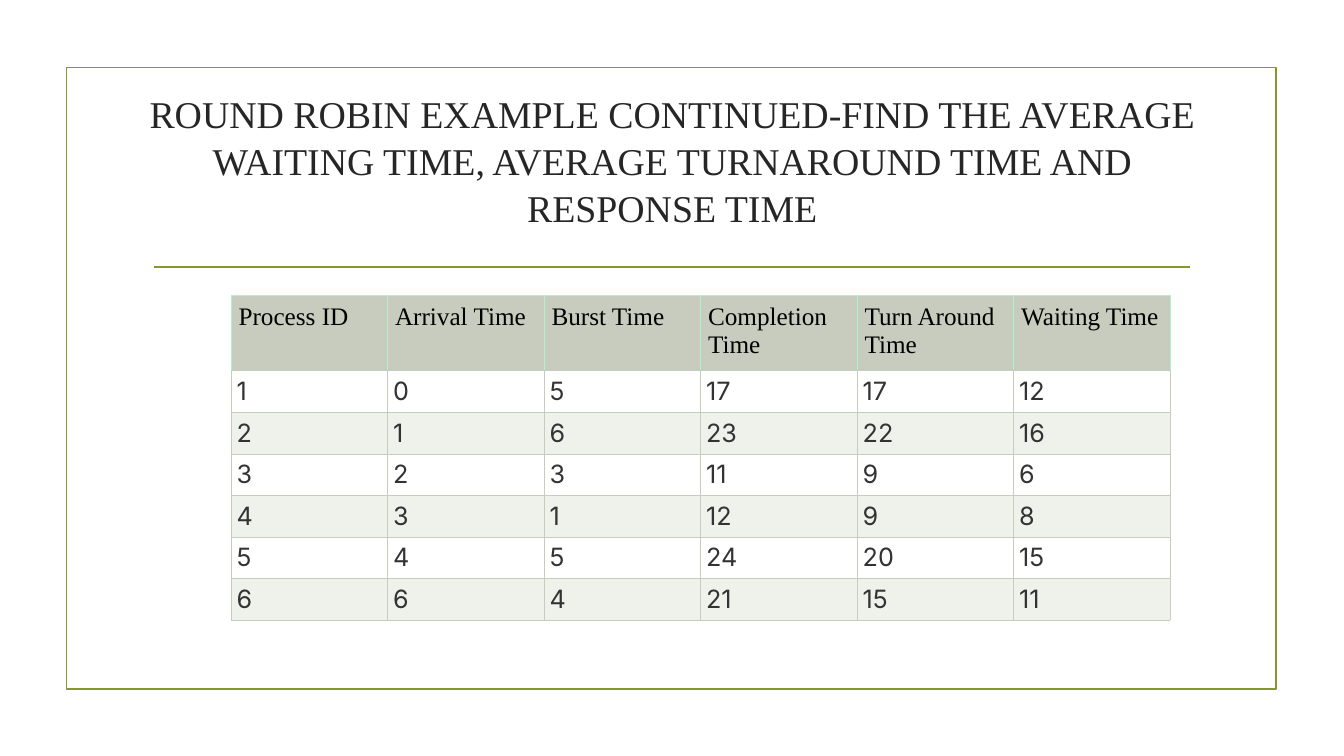
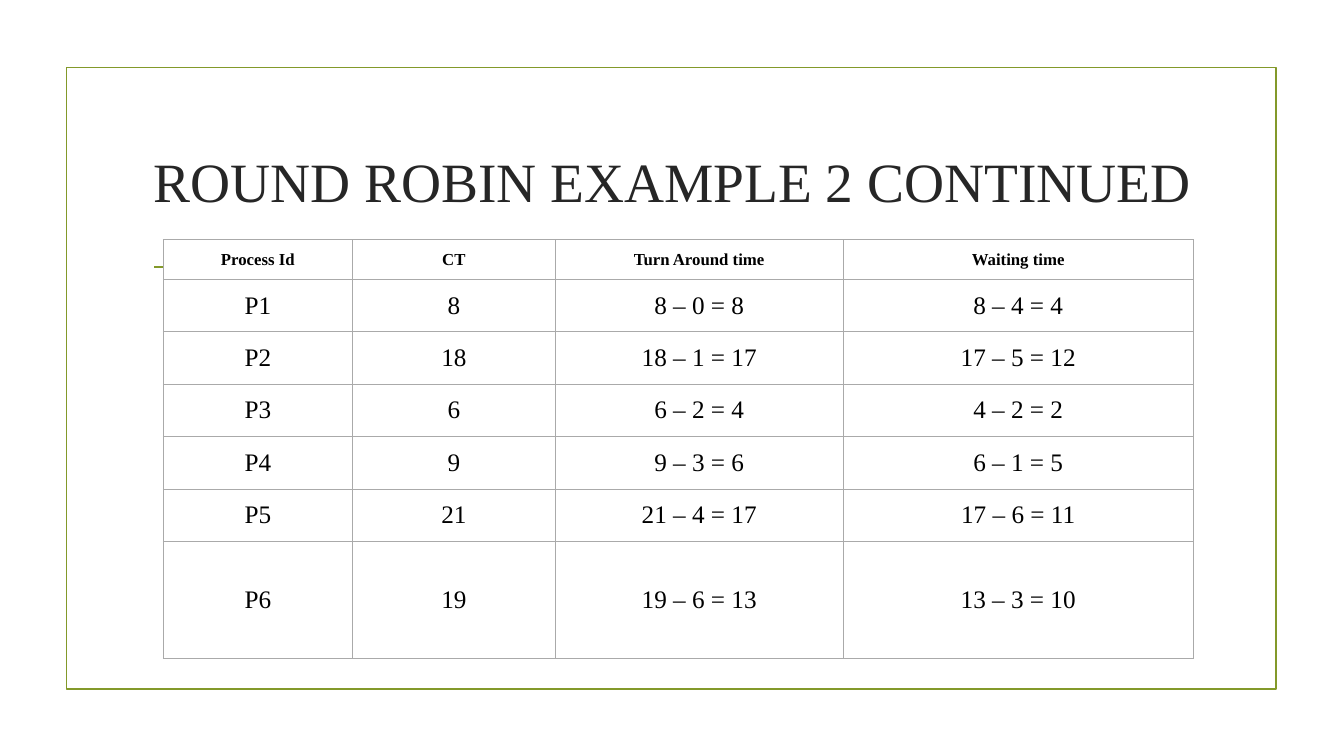
"""Build two slides of round robin scheduling results."""
from dataclasses import dataclass

from lxml import etree
from pptx import Presentation
from pptx.dml.color import RGBColor
from pptx.enum import shapes, text
from pptx.oxml import ns
from pptx.util import Pt


@dataclass(frozen=True)
class Theme:
    accent: str = "83992A"
    title: str = "262626"
    black: str = "000000"
    body: str = "333333"
    white: str = "FFFFFF"
    band: str = "EFF1EB"
    sage: str = "C7CCBE"
    mint: str = "B0F3CB"
    grey: str = "AAAAAA"
    serif: str = "Times New Roman"
    sans: str = "Inter"
    small: float = 12
    cell: float = 18
    long_title: float = 27
    short_title: float = 39.6


T = Theme()
ALIGN = text.PP_ALIGN
ANCHOR = text.MSO_ANCHOR

FRAME = (47.5, 48.2, 864, 444.2)
RULE = (110.2, 190.8, 850.3, 190.8)
TITLE = (102.2, 77, 756, 103)

SLIDES = [
    dict(
        title="ROUND ROBIN EXAMPLE CONTINUED-FIND THE AVERAGE WAITING TIME, "
              "AVERAGE TURNAROUND TIME AND RESPONSE TIME",
        title_format=dict(size=T.long_title, spacing=1.03, insets=(3.6, 3.6, 3.6, 32)),
        origin=(165, 210.8),
        widths=[111.8] * 6,
        heights=[52.2] + [29.7] * 6,
        header=["Process ID", "Arrival Time", "Burst Time", "Completion Time",
                "Turn Around Time", "Waiting Time"],
        rows=[
            (1, 0, 5, 17, 17, 12),
            (2, 1, 6, 23, 22, 16),
            (3, 2, 3, 11, 9, 6),
            (4, 3, 1, 12, 9, 8),
            (5, 4, 5, 24, 20, 15),
            (6, 6, 4, 21, 15, 11),
        ],
        header_format=dict(insets=(5.4,) * 4),
        body_format=dict(font=T.sans, color=T.body, align=ALIGN.JUSTIFY, insets=(4,) * 4),
        fills=(T.sage, T.white, T.band),
        borders=(T.mint, T.sage),
    ),
    dict(
        title="ROUND ROBIN EXAMPLE 2 CONTINUED",
        title_format=dict(size=T.short_title),
        origin=(116.6, 171.1),
        widths=[135.2, 144.8, 205.8, 249.9],
        heights=[28.4] + [37.5] * 5 + [83.5],
        header=["Process Id", "CT", "Turn Around time", "Waiting time"],
        rows=[
            ("P1", 8, "8 – 0 = 8", "8 – 4 = 4"),
            ("P2", 18, "18 – 1 = 17", "17 – 5 = 12"),
            ("P3", 6, "6 – 2 = 4", "4 – 2 = 2"),
            ("P4", 9, "9 – 3 = 6", "6 – 1 = 5"),
            ("P5", 21, "21 – 4 = 17", "17 – 6 = 11"),
            ("P6", 19, "19 – 6 = 13", "13 – 3 = 10"),
        ],
        header_format=dict(size=T.small, bold=True, align=ALIGN.CENTER,
                           anchor=ANCHOR.MIDDLE, insets=(5, 4, 5, 4)),
        body_format=dict(align=ALIGN.CENTER, anchor=ANCHOR.MIDDLE, insets=(5, 4, 5, 4)),
        fills=(T.white,) * 3,
        borders=(T.grey, T.grey),
    ),
]


def points(values):
    return [Pt(v) for v in values]


def write(box, content, font=T.serif, size=T.cell, color=T.black, bold=False,
          align=ALIGN.LEFT, anchor=ANCHOR.TOP, spacing=None, insets=(3.6,) * 4):
    tf = box.text_frame
    tf.word_wrap = True
    holder = tf if hasattr(box, "shape_type") else box
    holder.vertical_anchor = anchor
    holder.margin_left, holder.margin_top, holder.margin_right, holder.margin_bottom = points(insets)
    p = tf.paragraphs[0]
    p.alignment = align
    p.line_spacing = spacing
    r = p.add_run()
    r.text = str(content)
    r.font.name, r.font.size, r.font.bold = font, Pt(size), bold
    r.font.color.rgb = RGBColor.from_string(color)


def style_line(line):
    line.color.rgb = RGBColor.from_string(T.accent)
    line.width = Pt(1.25)


def add_base(s, title, title_format):
    frame = s.shapes.add_shape(shapes.MSO_SHAPE.RECTANGLE, *points(FRAME))
    frame.shadow.inherit = False
    frame.fill.background()
    style_line(frame.line)
    rule = s.shapes.add_connector(shapes.MSO_CONNECTOR.STRAIGHT, *points(RULE))
    style_line(rule.line)
    etree.SubElement(rule._element.spPr, ns.qn("a:effectLst"))
    write(s.shapes.add_textbox(*points(TITLE)), title, color=T.title,
          align=ALIGN.CENTER, anchor=ANCHOR.MIDDLE, **title_format)


def set_borders(cell, colors):
    tc_pr = cell._tc.get_or_add_tcPr()
    for side, color in zip("LRTB", colors):
        ln = etree.SubElement(tc_pr, ns.qn(f"a:ln{side}"), w=str(Pt(0.5)))
        fill = etree.SubElement(ln, ns.qn("a:solidFill"))
        etree.SubElement(fill, ns.qn("a:srgbClr"), val=color)


def add_grid(s, d):
    data = [d["header"], *d["rows"]]
    widths, heights = d["widths"], d["heights"]
    size = (sum(widths), sum(heights))
    table = s.shapes.add_table(len(data), len(widths), *points(d["origin"] + size)).table
    table.first_row = table.horz_banding = False
    for column, width in zip(table.columns, widths):
        column.width = Pt(width)
    head_fill, *body_fills = d["fills"]
    head_border, border = d["borders"]
    for i, values in enumerate(data):
        table.rows[i].height = Pt(heights[i])
        color = body_fills[(i - 1) % 2] if i else head_fill
        edges = [border if i else head_border] * 3 + [border]
        for j, value in enumerate(values):
            cell = table.cell(i, j)
            set_borders(cell, edges)
            cell.fill.solid()
            cell.fill.fore_color.rgb = RGBColor.from_string(color)
            write(cell, value, **d["body_format" if i else "header_format"])


def main():
    prs = Presentation()
    prs.slide_width, prs.slide_height = Pt(960), Pt(540)
    for d in SLIDES:
        s = prs.slides.add_slide(prs.slide_layouts[6])
        add_base(s, d["title"], d["title_format"])
        add_grid(s, d)
    prs.save("out.pptx")


if __name__ == "__main__":
    main()
